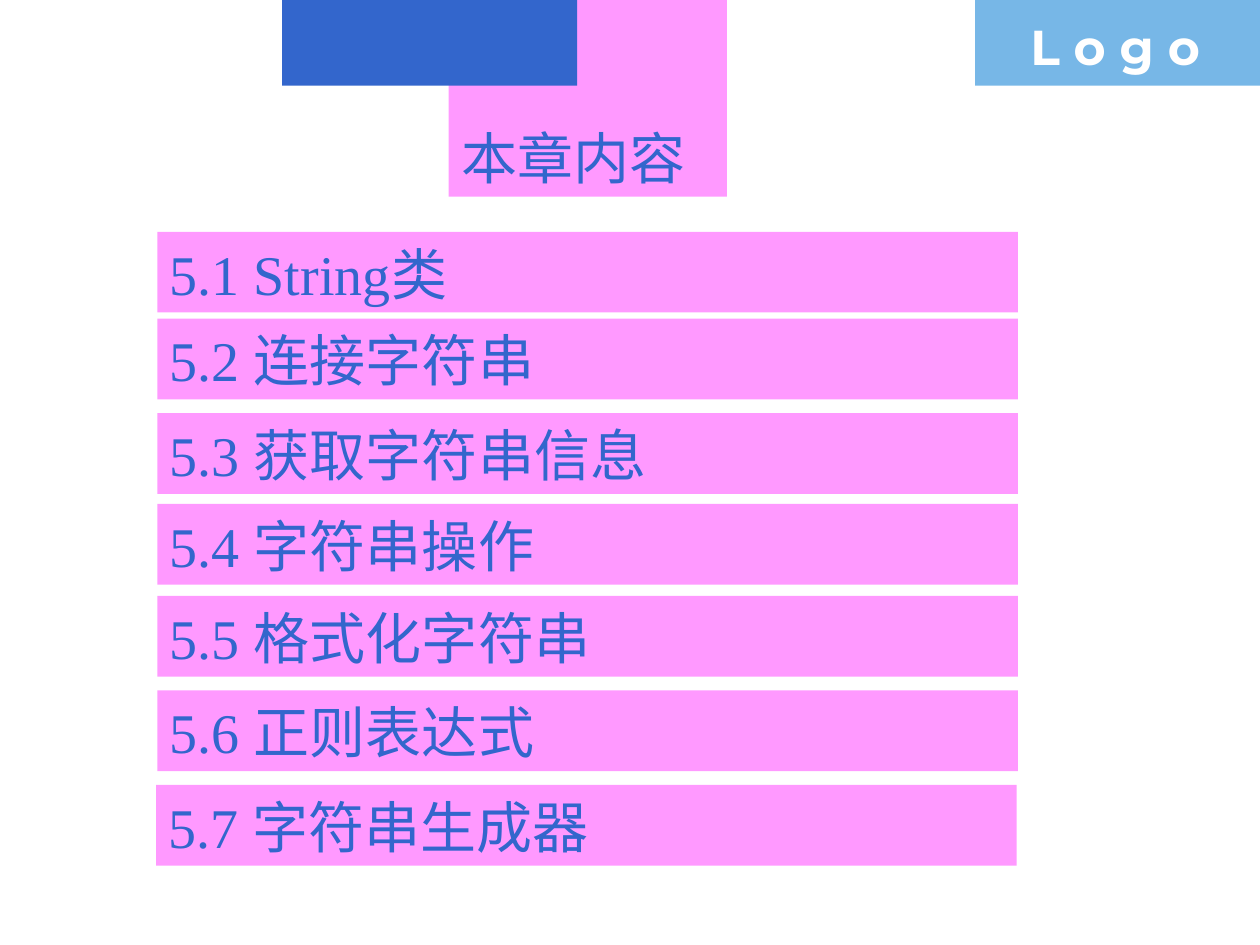
from pptx import Presentation
from pptx.dml.color import RGBColor
from pptx.enum.shapes import MSO_SHAPE
from pptx.enum.text import MSO_ANCHOR, MSO_AUTO_SIZE, PP_ALIGN
from pptx.util import Inches, Pt

RECT = MSO_SHAPE.RECTANGLE
BOTTOM, TOP = MSO_ANCHOR.BOTTOM, MSO_ANCHOR.TOP
GROW = MSO_AUTO_SIZE.SHAPE_TO_FIT_TEXT
LEFT = PP_ALIGN.LEFT

COLORS = {"blue": "3366CC", "sky": "77B7E7", "pink": "FF99FF", "white": "FFFFFF"}
BODY = {"name": "Times New Roman", "size": Pt(32), "bold": False}
BRAND = {"name": "Montserrat", "size": Pt(28), "bold": True}

TITLE = "本章内容"
TOPICS = [
    (1.25, 1.84, "5.1 String类"),
    (1.25, 2.53, "5.2 连接字符串"),
    (1.25, 3.28, "5.3 获取字符串信息"),
    (1.25, 4.00, "5.4 字符串操作"),
    (1.25, 4.73, "5.5 格式化字符串"),
    (1.25, 5.48, "5.6 正则表达式"),
    (1.24, 6.23, "5.7 字符串生成器"),
]
WIDTH, HEIGHT = 6.83, 0.64


def color(name):
    return RGBColor.from_string(COLORS[name])


def paint(shape, fill):
    shape.fill.solid()
    shape.fill.fore_color.rgb = color(fill)
    shape.line.fill.background()


def place(shape, box):
    for side, size in zip(("left", "top", "width", "height"), box):
        setattr(shape, side, Inches(size))


def write(shape, text, style, ink, anchor):
    frame = shape.text_frame
    frame.text = text
    layout = {
        "word_wrap": True,
        "auto_size": GROW,
        "vertical_anchor": anchor,
        "margin_left": Inches(0.1),
        "margin_right": Inches(0.1),
        "margin_top": Inches(0.05),
        "margin_bottom": Inches(0.05),
    }
    for key, value in layout.items():
        setattr(frame, key, value)
    para = frame.paragraphs[0]
    para.alignment = LEFT
    font = para.runs[0].font
    for key, value in style.items():
        setattr(font, key, value)
    font.color.rgb = color(ink)


def add_block(slide, box, fill):
    shape = slide.shapes.add_shape(RECT, *map(Inches, box))
    shape.shadow.inherit = False
    paint(shape, fill)
    return shape


def add_header(slide):
    add_block(slide, (2.24, 0, 2.34, 0.68), "blue")
    add_block(slide, (7.74, 0, 2.26, 0.68), "sky")
    label = slide.shapes.add_textbox(*map(Inches, (8.08, 0.08, 1.93, 0.57)))
    write(label, "L o g o", BRAND, "white", TOP)


def add_title(slide):
    title = slide.shapes.title
    place(title, (3.56, 0.92, 2.21, HEIGHT))
    paint(title, "pink")
    write(title, TITLE, BODY, "blue", BOTTOM)


def add_topic(slide, left, top, text):
    bar = add_block(slide, (left, top, WIDTH, HEIGHT), "pink")
    write(bar, text, BODY, "blue", BOTTOM)


def main():
    deck = Presentation()
    deck.slide_width, deck.slide_height = Inches(10), Inches(7.5)
    slide = deck.slides.add_slide(deck.slide_layouts.get_by_name("Title Only"))
    add_header(slide)
    add_title(slide)
    for topic in TOPICS:
        add_topic(slide, *topic)
    deck.save("out.pptx")


if __name__ == "__main__":
    main()
